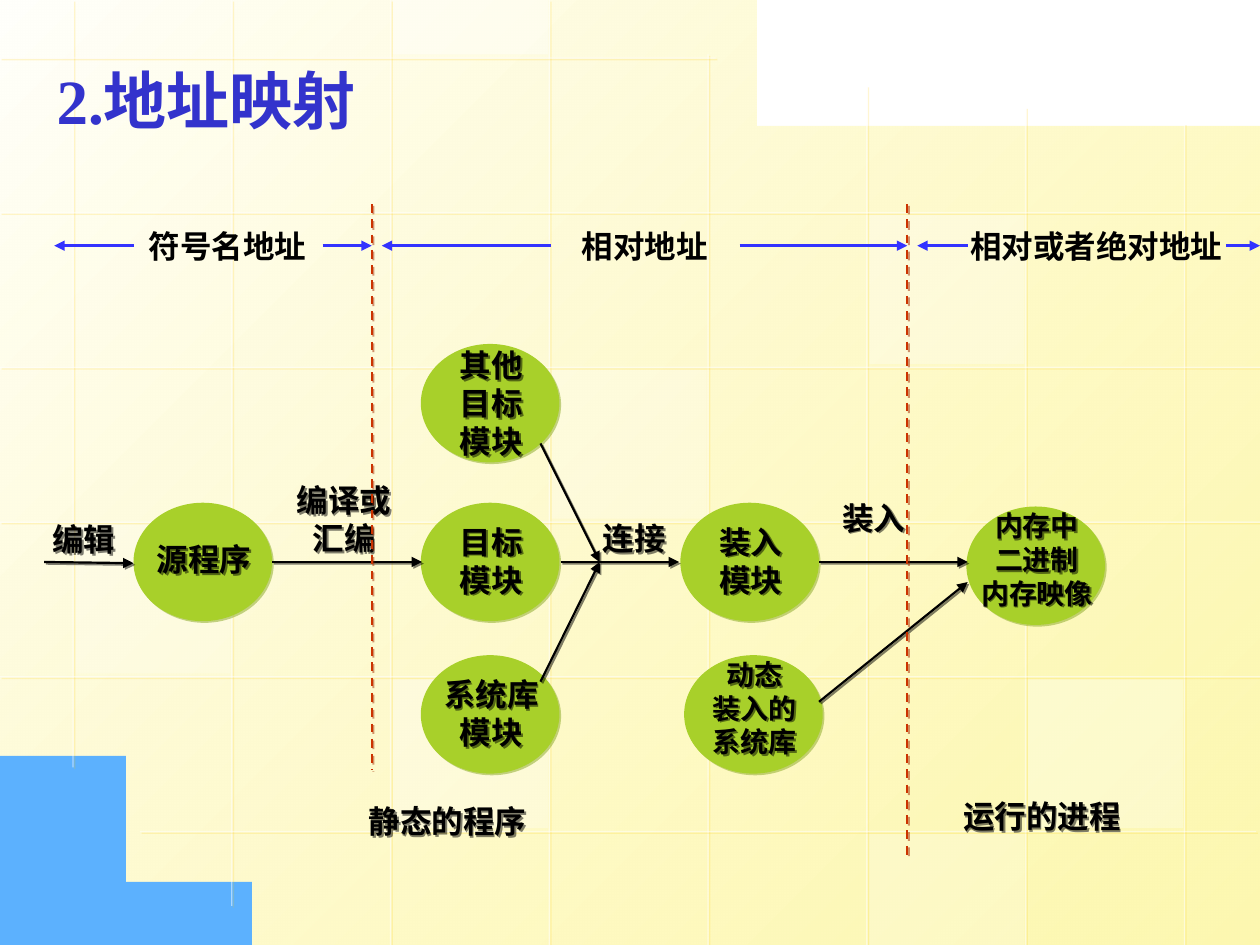
import pptx
import pptx.util
import pptx.dml.color
import pptx.enum.dml
import pptx.enum.shapes
import pptx.enum.text
from pptx.oxml.ns import qn
from lxml import etree

Inch, Pt = pptx.util.Inches, pptx.util.Pt
RGB = pptx.dml.color.RGBColor.from_string
KIND = pptx.enum.shapes.MSO_SHAPE
ALIGN = pptx.enum.text.PP_ALIGN

THEME = dict(
    white="FFFFFF", pale="FFFFFB", cream="FDF58D", sky="5CB1FE", gold="FFCC00",
    green="A8D02A", moss="87A722", ink="000000", red="CC3300", rust="A32900",
    blue="3333FF", head="3333CC", font="Arial", serif="Times New Roman",
    big=36, mid=18, small=16, thin=0.75, line=1.25, bold=1.5)

# Content
TITLE = "2.地址映射"
OVAL = (1.1, 0.94)
NODES = [  # left, top, lines, size
    (1.06, 3.99, ["源程序"], "mid"),
    (3.34, 3.99, ["目标", "模块"], "mid"),
    (5.4, 3.99, ["装入", "模块"], "mid"),
    (3.34, 2.73, ["其他", "目标", "模块"], "mid"),
    (3.34, 5.2, ["系统库", "模块"], "mid"),
    (7.67, 4.02, ["内存中", "二进制", "内存映像"], "small"),
    (5.43, 5.2, ["动态", "装入的", "系统库"], "small")]
STEPS = [  # left, top, width, height, text
    (0.27, 4.08, 0.79, 0.4, "编辑"),
    (2.22, 3.77, 1.02, 0.7, "编译或汇编"),
    (4.6, 4.07, 0.87, 0.4, "连接"),
    (6.5, 3.91, 0.87, 0.4, "装入"),
    (2.8, 6.32, 1.5, 0.4, "静态的程序"),
    (7.52, 6.28, 1.5, 0.4, "运行的进程")]
SPACES = [  # left, width, text
    (0.98, 1.65, "符号名地址"),
    (4.29, 1.65, "相对地址"),
    (7.52, 2.36, "相对或者绝对地址")]
MID = 4.46
FLOWS = [
    (0.35, MID, 1.06, 4.47), (2.16, MID, 3.35, MID), (4.45, MID, 5.39, MID),
    (4.29, 5.41, 4.76, MID), (4.29, 3.52, 4.76, MID),
    (6.5, MID, 7.68, MID), (6.5, 5.57, 7.68, 4.62)]
RULES = [(2.95, 6.11), (7.2, 6.82)]  # x, bottom
SPANS = [(4.37, 3.03), (2.56, 2.95), (1.06, 0.43),
         (7.68, 7.28), (5.87, 7.2), (9.73, 10)]

# Backdrop: curves as (control, control, end), corners as one point
PAPER = [(10, 1.04), (10, 7.5), (2.3, 7.5),
         ((0.86, 6.61), (-0.01, 5.39), (0, 5.39)),
         (-0.01, -0.01), (4.21, 0.01),
         ((4.21, 0.01), (5.37, 0.69), (10, 1.04))]
CORNER = [(0.01, 5.59), (0.01, 7.5), (2.03, 7.5),
          ((2.03, 7.5), (1.12, 7.09), (0.01, 5.59))]
GRID = dict(x=0.58, y=0.46, dx=1.26, dy=1.228)
COLS = [(0, 6.09), (0, 7.19), (0, 7.5), (0, 7.5),
        (0.43, 7.5), (0.68, 7.5), (0.85, 7.5), (0.98, 7.5)]
ROWS = [(5.68, 0)] + [(10, 0)] * 4 + [(9.97, 1.11)]
CELLS = [  # column, row, opacity
    (3, 2, 25), (6, 4, 30), (0, 3, 20), (5, 5, 20),
    (2, -1, 40), (2, 4, 30), (5, 1, 30)]

prs = pptx.Presentation()
prs.slide_width, prs.slide_height = Inch(10), Inch(7.5)
slide = prs.slides.add_slide(prs.slide_layouts[5])
shapes = slide.shapes


def sub(node, tag, **attrs):
    return etree.SubElement(node, qn("a:" + tag), attrs)


def fade(node, share):
    for clr in node.iter(qn("a:srgbClr")):
        sub(clr, "alpha", val=str(share * 1000))


def shade(shape, color=None, share=50):
    """Replace the theme shadow by none, or by a short diagonal one."""
    props = shape._element.spPr
    for old in props.findall(qn("a:effectLst")):
        props.remove(old)
    fx = sub(props, "effectLst")
    if color:
        shadow = sub(fx, "outerShdw", dist=str(Pt(1.4)), dir="2700000",
                     algn="ctr", rotWithShape="0")
        sub(shadow, "srgbClr", val=THEME[color])
        fade(shadow, share)


def paint(shape, color):
    shape.fill.solid()
    shape.fill.fore_color.rgb = RGB(THEME[color])
    shape.line.fill.background()


def link(x1, y1, x2, y2, color, width, arrow=False):
    line = shapes.add_connector(pptx.enum.shapes.MSO_CONNECTOR.STRAIGHT,
                                *map(Inch, (x1, y1, x2, y2)))
    line.line.color.rgb = RGB(THEME[color])
    line.line.width = Pt(THEME[width])
    if arrow:
        sub(line.line._get_or_add_ln(), "tailEnd", type="triangle")
    shade(line)
    return line


def style(frame, size, color="ink", font="font", align=ALIGN.CENTER):
    for para in frame.paragraphs:
        para.alignment = align
        for run in para.runs:
            run.font.size, run.font.bold = Pt(THEME[size]), True
            run.font.name = THEME[font]
            run.font.color.rgb = RGB(THEME[color])


def label(x, y, w, h, text, size="mid", shadow="ink"):
    box = shapes.add_textbox(*map(Inch, (x, y, w, h)))
    frame = box.text_frame
    frame.word_wrap = True
    frame.auto_size = pptx.enum.text.MSO_AUTO_SIZE.SHAPE_TO_FIT_TEXT
    frame.text = text
    style(frame, size)
    shade(box, shadow)


def outline(parts):
    """Draw a closed outline, sampling each cubic curve."""
    pts = [parts[0]]
    for part in parts[1:]:
        if not isinstance(part[0], tuple):
            pts.append(part)
            continue
        a, (b, c, d) = pts[-1], part
        for t in (i / 24 for i in range(1, 25)):
            u = 1 - t
            pts.append(tuple(
                u**3 * a[k] + 3*u*u*t * b[k] + 3*u*t*t * c[k] + t**3 * d[k]
                for k in (0, 1)))
    form = shapes.build_freeform(*pts[0], scale=Inch(1))
    form.add_line_segments(pts[1:], close=True)
    return form.convert_to_shape()


# Paper and corner
paper = outline(PAPER)
paint(paper, "pale")
paper.fill.gradient()
paper.fill.gradient_angle = 315
first, last = paper.fill.gradient_stops
first.position, last.position = 0, 1
first.color.rgb, last.color.rgb = RGB(THEME["pale"]), RGB(THEME["cream"])
fade(paper._element.spPr.findall(".//" + qn("a:gs"))[-1], 70)
shade(paper)
corner = outline(CORNER)
paint(corner, "sky")
shade(corner)

# Grid lines and tinted cells
ends = [(GRID["x"] + i * GRID["dx"], a, GRID["x"] + i * GRID["dx"], b)
        for i, (a, b) in enumerate(COLS)]
ends += [(a, GRID["y"] + j * GRID["dy"], b, GRID["y"] + j * GRID["dy"])
         for j, (a, b) in enumerate(ROWS)]
for end in ends:
    line = link(*end, "white", "thin")
    fade(line.line._get_or_add_ln(), 50)
    shade(line, "gold", 34)
for col, row, share in CELLS:
    left = GRID["x"] + col * GRID["dx"] + 0.02
    top = GRID["y"] + row * GRID["dy"] + 0.02
    low = min(top + 1.18, 7.5)
    top = max(top, 0)
    cell = shapes.add_shape(KIND.RECTANGLE,
                            *map(Inch, (left, top, 1.23, low - top)))
    paint(cell, "white")
    fade(cell._element.spPr, share)
    shade(cell)

# Modules
for x, y, lines, size in NODES:
    oval = shapes.add_shape(KIND.OVAL, *map(Inch, (x, y, *OVAL)))
    paint(oval, "green")
    shade(oval, "moss")
    n = len(lines)
    label(x - 0.03, y + 0.25 - 0.14 * (n - 1), 1.18,
          0.1 + n * THEME[size] / 60, "\n".join(lines), size)

# Flow arrows and step names
for flow in FLOWS:
    shade(link(*flow, "ink", "line", True), "ink")
for step in STEPS:
    label(*step)

# Address spaces
for x, low in RULES:
    rule = link(x, 1.62, x, low, "red", "line")
    rule.line.dash_style = pptx.enum.dml.MSO_LINE.DASH
    shade(rule, "rust")
for x, w, text in SPACES:
    label(x, 1.75, w, 0.4, text, shadow=None)
for a, b in SPANS:
    link(a, 1.95, b, 1.95, "blue", "bold", True)

# Title, brought to the front
title = shapes.title
title.left, title.top, title.width, title.height = map(
    Inch, (0.35, 0.44, 8.67, 0.69))
title.text_frame.text = TITLE
title.text_frame.vertical_anchor = pptx.enum.text.MSO_ANCHOR.TOP
style(title.text_frame, "big", "head", "serif", ALIGN.JUSTIFY)
shapes._spTree.append(title._element)

prs.save("out.pptx")
